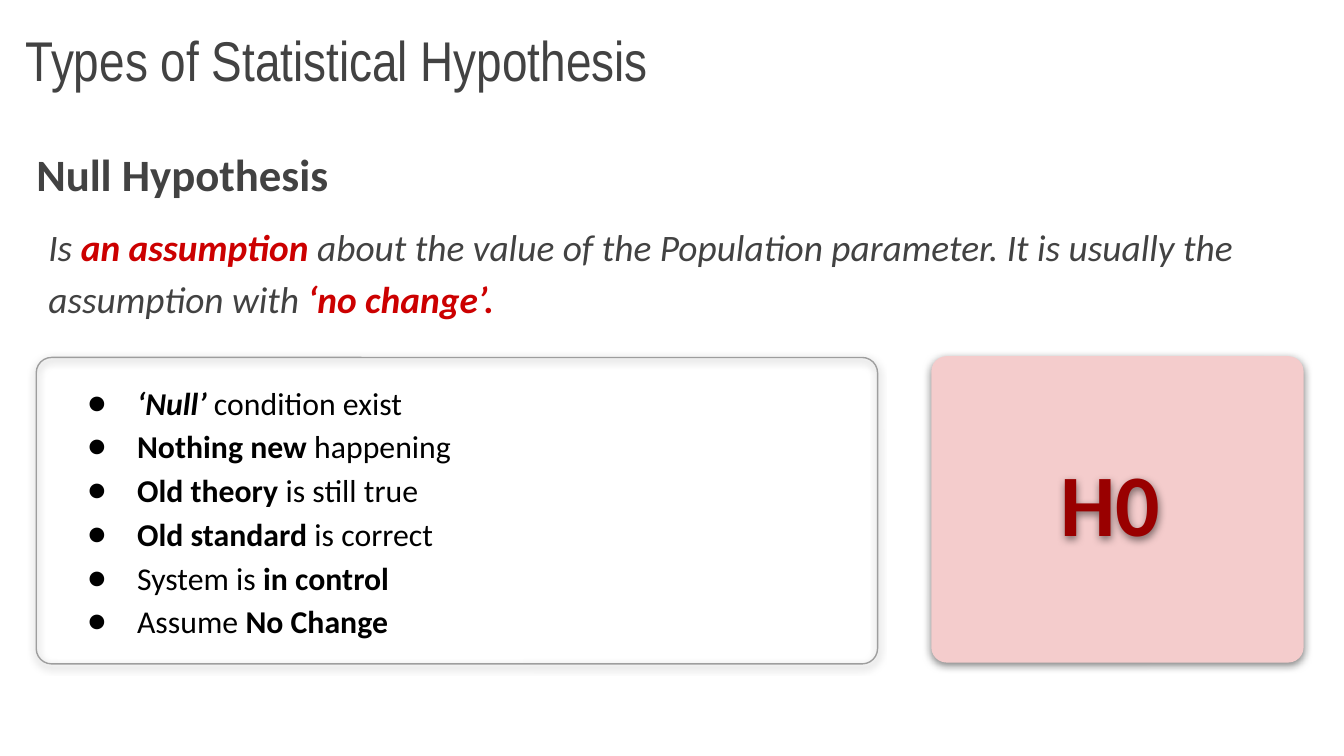
import pptx
import pptx.util
import pptx.dml.color
import pptx.enum.shapes
import pptx.enum.text
from lxml import etree
from pptx.oxml.ns import qn

# Each run is (text, style): b bold, i italic, r red
TITLE = [[("Types of Statistical Hypothesis", "")]]
HEAD = [[("Null Hypothesis", "b")]]
CLAIM = [[
    ("Is ", "i"),
    ("an assumption", "bir"),
    (" about the value of the Population parameter. "
     "It is usually the assumption with ", "i"),
    ("‘no change’.", "bir"),
]]
POINTS = [
    [("‘Null’", "bi"), (" condition exist", "")],
    [("Nothing new", "b"), (" happening", "")],
    [("Old theory", "b"), (" is still true", "")],
    [("Old standard", "b"), (" is correct", "")],
    [("System is ", ""), ("in control", "b")],
    [("Assume ", ""), ("No Change", "b")],
]
SYMBOL = [[("H0", "b")]]

THEME = {
    "ink": "424242", "red": "CC0000", "dark": "990000", "black": "000000",
    "pink": "F4CCCC", "edge": "9E9E9E", "white": "FFFFFF",
    "head font": "Arial Narrow", "font": "Calibri",
    "title": 30, "head": 24, "claim": 20, "point": 17, "symbol": 47,
}
WIDTH = 10
HEIGHT = WIDTH * 9 / 16
CARD_H, ROUND = 2.28, 0.05
Inches, Pt = pptx.util.Inches, pptx.util.Pt
Align, Anchor = pptx.enum.text.PP_ALIGN, pptx.enum.text.MSO_ANCHOR
Auto = pptx.enum.text.MSO_AUTO_SIZE


def color(name):
    return pptx.dml.color.RGBColor.from_string(THEME[name])


def place(shape, box):
    shape.left, shape.top, shape.width, shape.height = map(Inches, box)


def paint(shape, name):
    shape.fill.solid()
    shape.fill.fore_color.rgb = color(name)


def cast(shape):
    """Give the shape a soft shadow straight below it."""
    shape.shadow.inherit = False
    effects = shape._element.spPr.find(qn("a:effectLst"))
    shade = etree.SubElement(
        effects, qn("a:outerShdw"), blurRad=str(Pt(4.5)), dist=str(Pt(1.5)),
        dir="5400000", algn="bl", rotWithShape="0")
    tint = etree.SubElement(shade, qn("a:srgbClr"), val=THEME["black"])
    etree.SubElement(tint, qn("a:alpha"), val="50000")


def mark(para, bullet):
    """Set the hanging bullet, or clear the one inherited."""
    props = para._p.get_or_add_pPr()
    props.set("marL", str(Inches(0.5 if bullet else 0)))
    props.set("indent", str(Inches(-0.37 if bullet else 0)))
    if bullet:
        tint = etree.SubElement(props, qn("a:buClr"))
        etree.SubElement(tint, qn("a:srgbClr"), val=THEME["black"])
        etree.SubElement(props, qn("a:buFont"), typeface=THEME["font"])
        etree.SubElement(props, qn("a:buChar"), char="●")
    else:
        etree.SubElement(props, qn("a:buNone"))


def write(shape, paras, size, ink="ink", font="font", space=1.0, after=0,
          align=Align.LEFT, anchor=Anchor.TOP, bullet=False):
    frame = shape.text_frame
    frame.word_wrap, frame.auto_size = True, Auto.NONE
    frame.vertical_anchor = anchor
    frame.margin_left = frame.margin_right = Inches(0.1)
    frame.margin_top = frame.margin_bottom = Inches(0.1)
    for n, runs in enumerate(paras):
        para = frame.add_paragraph() if n else frame.paragraphs[0]
        mark(para, bullet)
        para.alignment, para.line_spacing = align, space
        para.space_before, para.space_after = Pt(0), Pt(after)
        para.font.name, para.font.size = THEME[font], Pt(THEME[size])
        para.font.color.rgb = color(ink)
        for text, style in runs:
            run = para.add_run()
            run.text = text
            run.font.bold, run.font.italic = "b" in style, "i" in style
            if "r" in style:
                run.font.color.rgb = color("red")


def add_card(slide, box):
    kind = pptx.enum.shapes.MSO_SHAPE.ROUNDED_RECTANGLE
    card = slide.shapes.add_shape(kind, *map(Inches, box))
    card.adjustments[0] = ROUND
    cast(card)
    return card


def main():
    deck = pptx.Presentation()
    deck.slide_width, deck.slide_height = Inches(WIDTH), Inches(HEIGHT)
    slide = deck.slides.add_slide(deck.slide_layouts.get_by_name("Comparison"))
    title, head, claim, points, spare = slide.placeholders
    spare._element.getparent().remove(spare._element)

    place(title, (0.09, -0.01, 9.32, 0.8))
    write(title, TITLE, "title", font="head font", anchor=Anchor.BOTTOM)
    place(head, (0.17, 1.02, 4.23, 0.52))
    paint(head, "white")
    write(head, HEAD, "head", space=0.95, after=12)
    place(claim, (0.26, 1.52, 9.32, 0.8))
    paint(claim, "white")
    write(claim, CLAIM, "claim", space=1.15, after=12)
    place(points, (0.42, 2.71, 4.57, 2.13))
    write(points, POINTS, "point", ink="black", space=1.15, bullet=True)

    frame = add_card(slide, (0.27, 2.66, 6.26, CARD_H))
    frame.fill.background()
    frame.line.color.rgb, frame.line.width = color("edge"), Pt(0.75)
    panel = add_card(slide, (6.93, 2.65, 2.77, CARD_H))
    paint(panel, "pink")
    panel.line.fill.background()

    symbol = slide.shapes.add_textbox(*map(Inches, (7.6, 3.24, 1.32, 0.99)))
    write(symbol, SYMBOL, "symbol", ink="dark", align=Align.CENTER)
    cast(symbol)
    deck.save("out.pptx")


if __name__ == "__main__":
    main()
